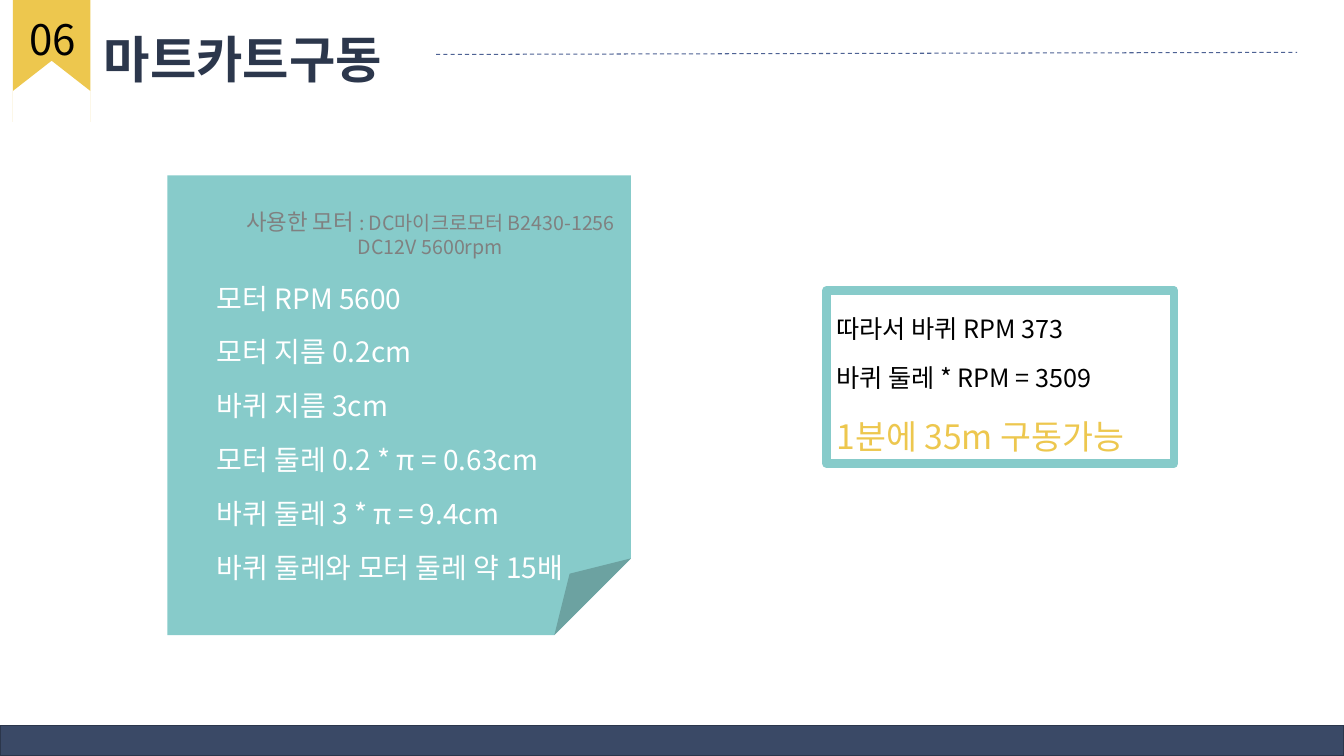
from pptx import Presentation
from pptx.dml.color import RGBColor
from pptx.enum.dml import MSO_LINE
from pptx.enum.shapes import MSO_CONNECTOR, MSO_SHAPE
from pptx.enum.text import MSO_ANCHOR, MSO_AUTO_SIZE, PP_ALIGN
from pptx.oxml.ns import qn
from pptx.util import Pt
from lxml.etree import SubElement

FONT = "Noto Sans CJK KR"
COLORS = {
    "teal": "87CBCA", "navy": "3A4966", "navy_edge": "2B364B", "title": "2C374C",
    "rule": "4E6294", "yellow": "EDC74E", "gray": "808080",
    "black": "000000", "white": "FFFFFF",
}


def color(name):
    return RGBColor.from_string(COLORS[name])


def write(shape, lines, align, spacing=None):
    """Each line is a list of (text, size, colour) runs."""
    frame = shape.text_frame
    frame.word_wrap = True
    frame.auto_size = MSO_AUTO_SIZE.NONE
    frame.vertical_anchor = MSO_ANCHOR.TOP
    for index, runs in enumerate(lines):
        paragraph = frame.add_paragraph() if index else frame.paragraphs[0]
        paragraph.alignment = align
        paragraph.line_spacing = spacing
        for text, size, ink in runs:
            run = paragraph.add_run()
            run.text = text
            run.font.size = Pt(size)
            run.font.color.rgb = color(ink)
            run.font.name = FONT
            SubElement(run.font._element, qn("a:ea"), typeface=FONT)


prs = Presentation()
prs.slide_width, prs.slide_height = Pt(960), Pt(540)
slide = prs.slides.add_slide(prs.slide_layouts[5])
shapes = slide.shapes

# Folded note with the motor model
note = shapes.add_shape(MSO_SHAPE.FOLDED_CORNER, Pt(119.5), Pt(125.3), Pt(331.2), Pt(328.3))
note.shadow.inherit = False
note.fill.solid()
note.fill.fore_color.rgb = color("teal")
note.line.fill.background()

motor = shapes.add_textbox(Pt(157), Pt(145.4), Pt(301), Pt(44))
write(motor, [[("사용한 모터 ", 16, "gray"),
               (": DC마이크로모터 B2430-1256 DC12V 5600rpm", 14, "gray")]],
      PP_ALIGN.CENTER)

# Footer bar
footer = shapes.add_shape(MSO_SHAPE.RECTANGLE, 0, Pt(518.4), Pt(960), Pt(21.6))
footer.shadow.inherit = False
footer.fill.solid()
footer.fill.fore_color.rgb = color("navy")
footer.line.color.rgb = color("navy_edge")
footer.line.width = Pt(1)

# Ribbon with the section number
outline = shapes.build_freeform(Pt(9.2), 0)
outline.add_line_segments(
    [(Pt(x), Pt(y)) for x, y in [(64.6, 0), (64.6, 87), (64.6, 65), (36.9, 43.4),
                                 (9.2, 65), (9.2, 87)]])
ribbon = outline.convert_to_shape()
ribbon.shadow.inherit = False
ribbon.fill.solid()
ribbon.fill.fore_color.rgb = color("yellow")
ribbon.line.fill.background()

number = shapes.add_textbox(Pt(14), Pt(6), Pt(60.5), Pt(44))
write(number, [[("06", 30, "black")]], PP_ALIGN.LEFT)

# Title and dashed rule
title = shapes.title
title.left, title.top, title.width, title.height = Pt(64.8), Pt(16.6), Pt(215.2), Pt(51)
write(title, [[("마트카트구동", 36, "title")]], PP_ALIGN.RIGHT)
title.text_frame.paragraphs[0].runs[0].font.bold = True

rule = shapes.add_connector(MSO_CONNECTOR.STRAIGHT, Pt(311.5), Pt(38.9), Pt(926.5), Pt(37.4))
rule.line.color.rgb = color("rule")
rule.line.width = Pt(0.75)
rule.line.dash_style = MSO_LINE.DASH
SubElement(rule._element.spPr, qn("a:effectLst"))

# Result box, wide enough to hold its last line
result = shapes.add_shape(MSO_SHAPE.RECTANGLE, Pt(590.4), Pt(207.4), Pt(248), Pt(123.8))
result.shadow.inherit = False
result.fill.background()
result.line.color.rgb = color("teal")
result.line.width = Pt(6)
write(result, [[("따라서 바퀴 RPM 373", 18, "black")],
               [("바퀴 둘레 * RPM = 3509", 18, "black")],
               [("1분에 35m 구동가능", 24, "yellow")]],
      PP_ALIGN.JUSTIFY, 1.6)

# Calculation steps on the note
steps = ["모터 RPM 5600", "모터 지름 0.2cm", "바퀴 지름 3cm",
         "모터 둘레 0.2 * π = 0.63cm", "바퀴 둘레 3 * π = 9.4cm",
         "바퀴 둘레와 모터 둘레 약 15배"]
calculation = shapes.add_textbox(Pt(147.6), Pt(182.9), Pt(288.7), Pt(239.8))
write(calculation, [[(step, 20, "white")] for step in steps], PP_ALIGN.JUSTIFY, 1.6)

prs.save("out.pptx")
